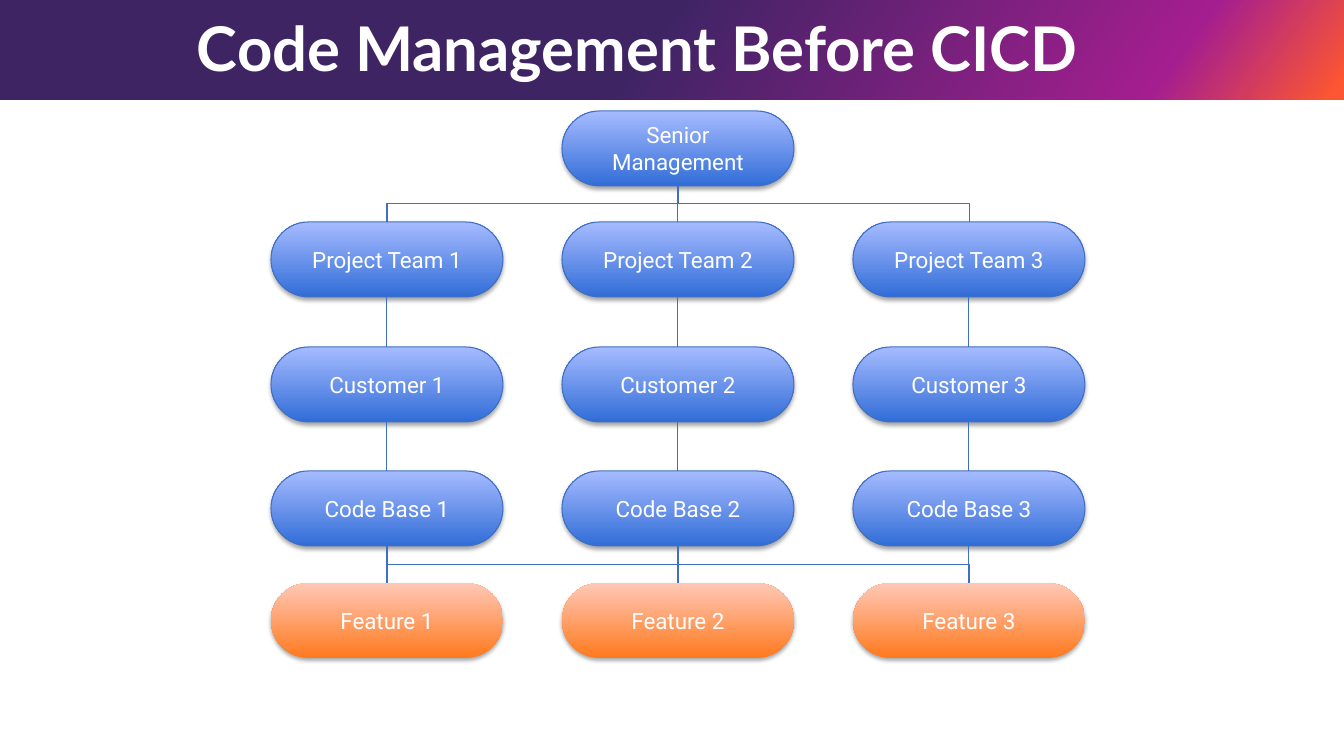
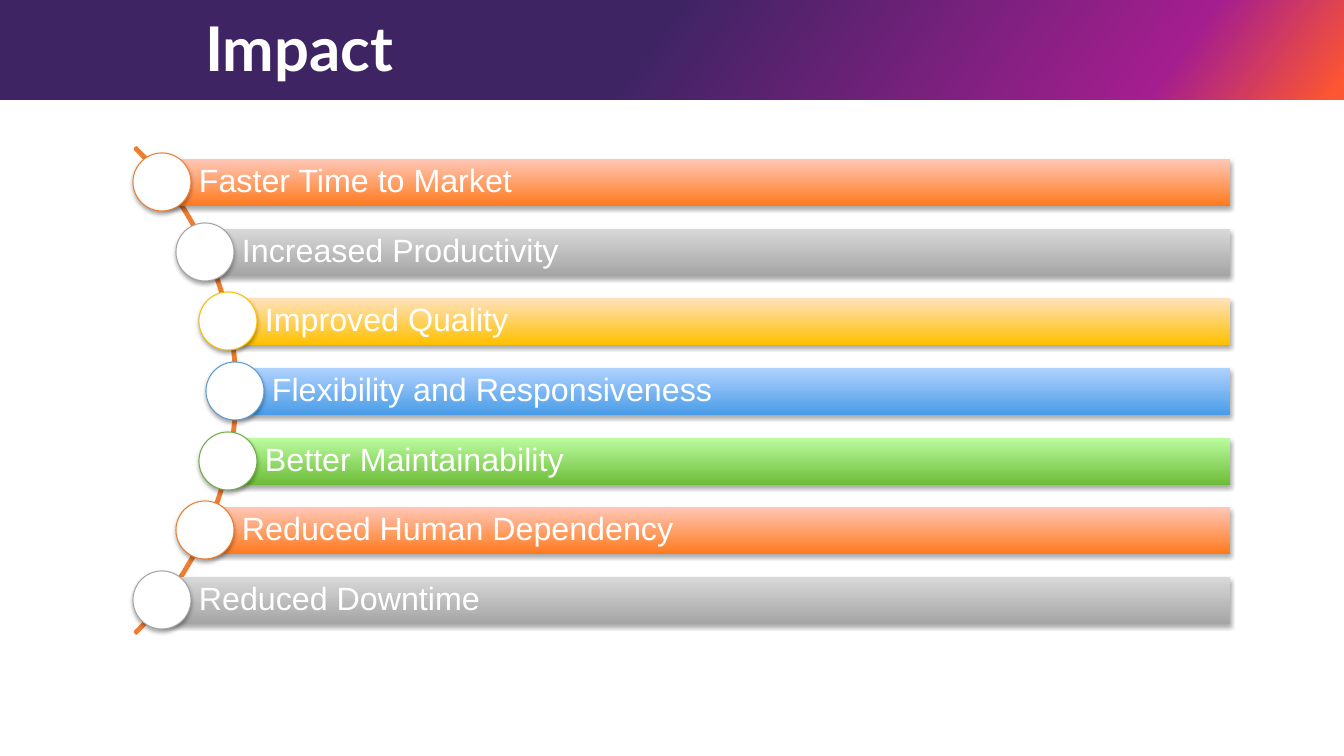
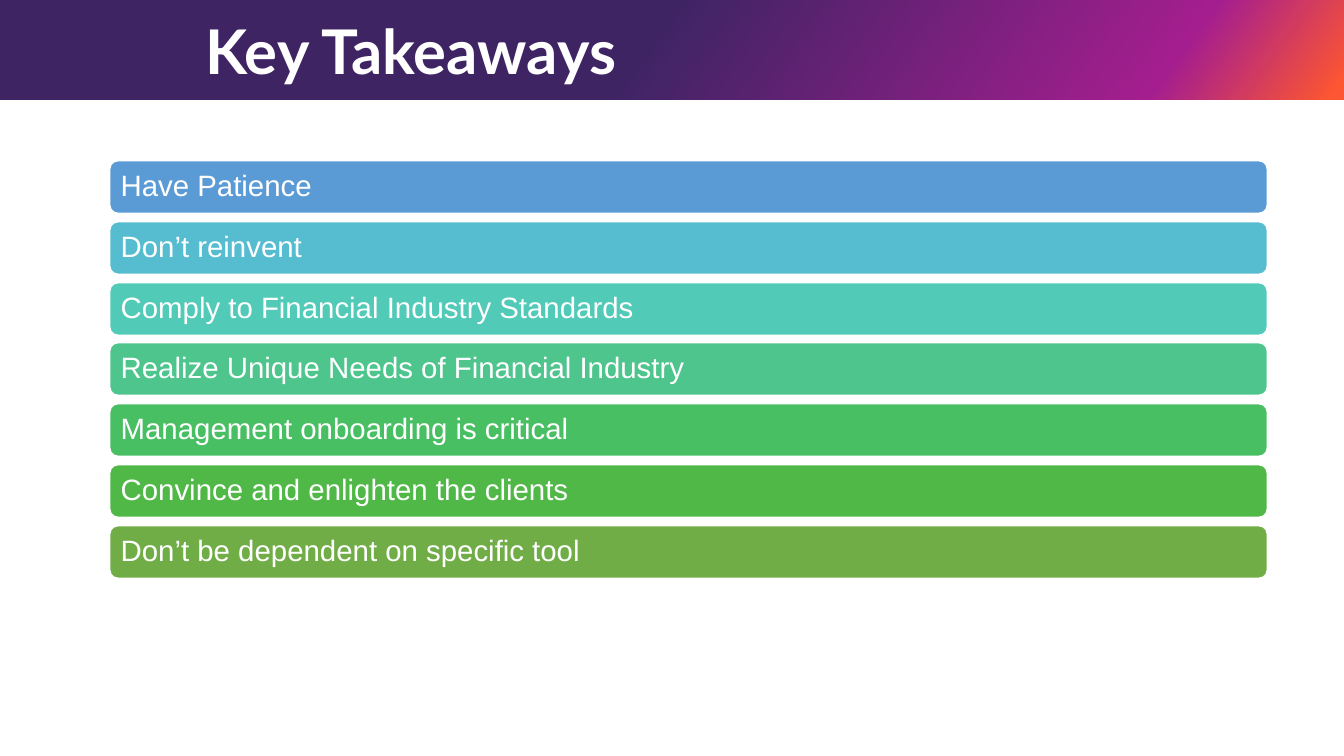
from lxml import etree
from pptx import Presentation
from pptx import util as u
from pptx.dml.color import RGBColor
from pptx.enum import shapes, text
from pptx.oxml.ns import qn

EMU_PER_PX = 914400 / 100.8
SLIDE_W, SLIDE_H = 1344, 756

COLORS = {
    "white": "FFFFFF", "black": "000000", "blue_line": "3F6FC3",
    "orange": "ED7D31", "gray": "A5A5A5", "gold": "FFC000",
    "blue": "5B9BD5", "green": "70AD47",
}
BAND_STOPS = [(0, "3F2464"), (48, "3F2464"), (86, "A41E8F"), (99, "FD5632"), (100, "FD5632")]
# Bottom and top colour of each vertical gradient
GRADIENTS = {
    "pill": ("316DD7", "A6BBFF"), "orange": ("FF7A1F", "FFC7B6"),
    "gray": ("A5A5A5", "D8D8D8"), "gold": ("FFC000", "FFE2BD"),
    "blue": ("499CE7", "B0D2FF"), "green": ("6DBC38", "BBFCA0"),
}

PILL_W, PILL_H = 232, 75
COLUMNS = [271 + 291 * i for i in range(3)]
SENIOR_TOP, FEATURE_TOP = 111, 583
TEAM_ROWS = [("Project Team", 222), ("Customer", 347), ("Code Base", 471)]
FEATURES_OF_CODE_BASE = [(0, 1, 2), (0, 1), (0, 1, 2)]

IMPACTS = [
    ("Faster Time to Market", 162, "orange"),
    ("Increased Productivity", 205, "gray"),
    ("Improved Quality", 228, "gold"),
    ("Flexibility and Responsiveness", 235, "blue"),
    ("Better Maintainability", 228, "green"),
    ("Reduced Human Dependency", 205, "orange"),
    ("Reduced Downtime", 162, "gray"),
]
TAKEAWAYS = [
    ("Have Patience", "5B9BD5"),
    ("Don’t reinvent", "56BCD0"),
    ("Comply to Financial Industry Standards", "52CAB8"),
    ("Realize Unique Needs of Financial Industry", "4DC58D"),
    ("Management onboarding is critical", "49BF64"),
    ("Convince and enlighten the clients", "50B846"),
    ("Don’t be dependent on specific tool", "70AD47"),
]


def px(n):
    return u.Emu(round(n * EMU_PER_PX))


def rgb(hex_string):
    return RGBColor.from_string(hex_string)


def write(frame, words, size, font="Arial", bold=False, align=text.PP_ALIGN.LEFT,
          anchor=text.MSO_ANCHOR.MIDDLE, insets=(10, 5, 10, 5), spacing=0.9):
    """Fill a text frame with one white paragraph; insets are left, top, right, bottom."""
    frame.word_wrap = True
    frame.auto_size = text.MSO_AUTO_SIZE.NONE
    frame.vertical_anchor = anchor
    frame.margin_left, frame.margin_top, frame.margin_right, frame.margin_bottom = map(px, insets)
    paragraph = frame.paragraphs[0]
    paragraph.alignment = align
    paragraph.line_spacing = spacing
    run = paragraph.add_run()
    run.text = words
    run.font.size, run.font.name, run.font.bold = u.Pt(size), font, bold
    run.font.color.rgb = rgb(COLORS["white"])


def add_block(slide, preset, box, fill=None, line=None, line_pt=0.75):
    """Add a preset shape without shadow; fill and line are hex strings or None."""
    block = slide.shapes.add_shape(preset, *map(px, box))
    block.shadow.inherit = False
    if fill:
        block.fill.solid()
        block.fill.fore_color.rgb = rgb(fill)
    else:
        block.fill.background()
    if line:
        block.line.color.rgb = rgb(line)
        block.line.width = u.Pt(line_pt)
    else:
        block.line.fill.background()
    return block


def set_gradient(block, stops, angle):
    """Apply (percent, hex) stops; the angle runs counter-clockwise."""
    block.fill.gradient()
    block.fill.gradient_angle = angle
    stop_list = block.element.spPr.find(qn("a:gradFill")).find(qn("a:gsLst"))
    for stop in list(stop_list):
        stop_list.remove(stop)
    for percent, color in stops:
        stop = etree.SubElement(stop_list, qn("a:gs"), pos=str(percent * 1000))
        etree.SubElement(stop, qn("a:srgbClr"), val=color)


def add_soft_shadow(block):
    effects = block.element.spPr.find(qn("a:effectLst"))
    shadow = etree.SubElement(effects, qn("a:outerShdw"), blurRad="40000", dist="23000",
                              dir="5400000", rotWithShape="0")
    color = etree.SubElement(shadow, qn("a:srgbClr"), val=COLORS["black"])
    etree.SubElement(color, qn("a:alpha"), val="35000")


def add_glossy(slide, preset, box, gradient, line=None):
    block = add_block(slide, preset, box, line=line)
    bottom, top = GRADIENTS[gradient]
    set_gradient(block, [(0, bottom), (100, top)], 90)
    add_soft_shadow(block)
    return block


def add_band_to_layout(slide):
    """Draw the title band once and hand it to the layout behind every slide."""
    band = add_block(slide, shapes.MSO_SHAPE.RECTANGLE, (0, 0, SLIDE_W, 100))
    set_gradient(band, BAND_STOPS, 324)
    band.element.nvSpPr.cNvPr.id = 20
    slide.slide_layout.shapes.element.insert(2, band.element)


def add_titled_slide(prs, words, left=195, top=13):
    slide = prs.slides.add_slide(prs.slide_layouts[5])
    title = slide.shapes.title
    title.left, title.top, title.width, title.height = map(px, (left, top, 1029, 123))
    write(title.text_frame, words, 44, font="Lato", bold=True, anchor=text.MSO_ANCHOR.TOP)
    return slide


def add_pill(slide, words, left, top, gradient="pill", line=COLORS["blue_line"]):
    pill = add_glossy(slide, shapes.MSO_SHAPE.ROUNDED_RECTANGLE,
                      (left, top, PILL_W, PILL_H), gradient, line)
    pill.adjustments[0] = 0.5
    write(pill.text_frame, words, 16, font="Roboto", align=text.PP_ALIGN.CENTER,
          insets=(13, 13, 13, 13), spacing=1.0)
    return pill


def link(slide, upper, lower):
    """Join bottom to top: straight within a column, otherwise an elbow."""
    start_x, end_x = upper.left + upper.width // 2, lower.left + lower.width // 2
    start_y, end_y = upper.top + upper.height, lower.top
    across, down = end_x - start_x, end_y - start_y
    kind = shapes.MSO_CONNECTOR.ELBOW if across else shapes.MSO_CONNECTOR.STRAIGHT
    connector = slide.shapes.add_connector(kind, start_x, start_y, end_x, end_y)
    connector.begin_connect(upper, 2)
    connector.end_connect(lower, 0)
    if across:
        # The preset elbow leaves sideways, so it is turned to leave downwards
        connector.left = (start_x + end_x - down) // 2
        connector.top = (start_y + end_y - abs(across)) // 2
        connector.width, connector.height = down, abs(across)
        frame = connector.element.spPr.find(qn("a:xfrm"))
        frame.rot = 270 if across > 0 else 90
        frame.flipH, frame.flipV = across > 0, False
    connector.line.color.rgb = rgb(COLORS["blue_line"])
    connector.line.width = u.Pt(0.75)
    etree.SubElement(connector.element.spPr, qn("a:effectLst"))


def build_code_management(slide):
    senior = add_pill(slide, "Senior Management", COLUMNS[1], SENIOR_TOP)
    rows = [[add_pill(slide, f"{label} {n}", left, top) for n, left in enumerate(COLUMNS, 1)]
            for label, top in TEAM_ROWS]
    features = [add_pill(slide, f"Feature {n}", left, FEATURE_TOP, "orange", None)
                for n, left in enumerate(COLUMNS, 1)]
    for team in rows[0]:
        link(slide, senior, team)
    for upper_row, lower_row in zip(rows, rows[1:]):
        for upper, lower in zip(upper_row, lower_row):
            link(slide, upper, lower)
    for code_base, targets in zip(rows[-1], FEATURES_OF_CODE_BASE):
        for target in targets:
            link(slide, code_base, features[target])


def build_impact(slide):
    arc = add_block(slide, shapes.MSO_SHAPE.BLOCK_ARC, (-450, 47, 687, 687),
                    line=COLORS["orange"], line_pt=2)
    for i, value in enumerate((189, 27, 0.003)):
        arc.adjustments[i] = value
    bar_right, bar_h, dot = 1230, 47, 58
    for i, (words, left, color) in enumerate(IMPACTS):
        top = 159 + round(i * 418 / 6)
        bar = add_glossy(slide, shapes.MSO_SHAPE.RECTANGLE,
                         (left, top, bar_right - left, bar_h), color)
        write(bar.text_frame, words, 23, insets=(37, 6, 6, 6))
        bullet = add_block(slide, shapes.MSO_SHAPE.OVAL,
                           (left - dot // 2, top - 6, dot, dot),
                           fill=COLORS["white"], line=COLORS[color])
        add_soft_shadow(bullet)


def build_takeaways(slide):
    for i, (words, color) in enumerate(TAKEAWAYS):
        bar = add_block(slide, shapes.MSO_SHAPE.ROUNDED_RECTANGLE,
                        (109, 160 + round(i * 365 / 6), 1159, 54),
                        fill=color, line=COLORS["white"], line_pt=2)
        write(bar.text_frame, words, 21, insets=(9, 9, 9, 9))


def main():
    prs = Presentation()
    prs.slide_width, prs.slide_height = px(SLIDE_W), px(SLIDE_H)
    code_management = add_titled_slide(prs, "Code Management Before CICD", left=187)
    add_band_to_layout(code_management)
    build_code_management(code_management)
    build_impact(add_titled_slide(prs, "Impact"))
    build_takeaways(add_titled_slide(prs, "Key Takeaways", top=16))
    prs.save("out.pptx")


if __name__ == "__main__":
    main()
